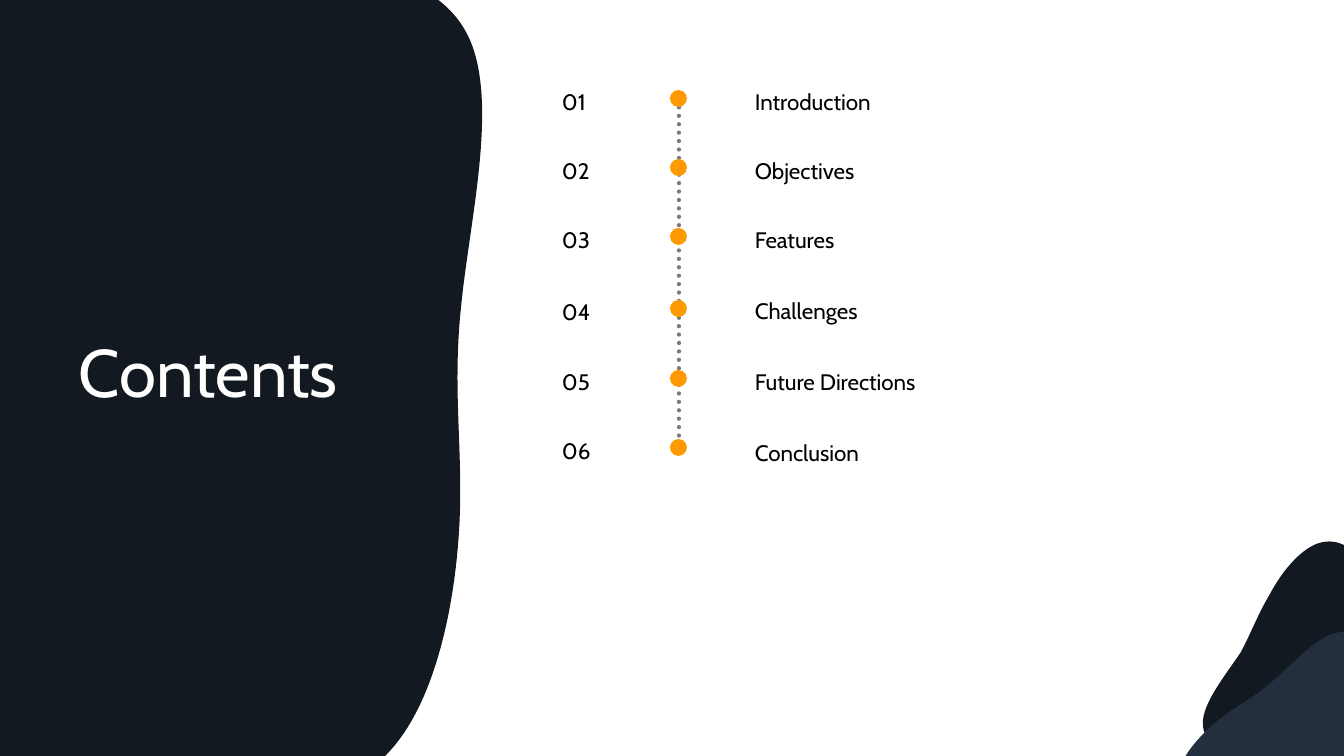
from lxml.etree import SubElement
from pptx import Presentation
from pptx.dml.color import RGBColor
from pptx.enum.dml import MSO_LINE_DASH_STYLE as DASH
from pptx.enum.shapes import MSO_CONNECTOR as CONNECTOR, MSO_SHAPE as SHAPE
from pptx.enum.text import MSO_AUTO_SIZE as AUTO_SIZE
from pptx.oxml.ns import qn
from pptx.util import Pt

PX = 914400 / 100.8
FONT = "Cabin"
NAVY = RGBColor(0x13, 0x19, 0x21)
SLATE = RGBColor(0x23, 0x2F, 0x3E)
ORANGE = RGBColor(0xFF, 0x99, 0x00)
GREY = RGBColor(0x59, 0x59, 0x59)
BLACK = RGBColor(0x00, 0x00, 0x00)
WHITE = RGBColor(0xFF, 0xFF, 0xFF)

PANEL_START = (183, -15)
PANEL_CURVES = [
    (218, -29), (255, -35), (293, -35),
    (370, -37), (448, -19), (472, 45),
    (497, 112), (469, 224), (461, 308),
    (452, 394), (464, 453), (459, 532),
    (454, 612), (433, 711), (383, 758),
    (340, 799), (274, 800), (215, 774),
]
PANEL_EDGES = [(198, 765), (198, 775), (0, 775), (0, -15)]

BACK_HILL_START = (1203, 720)
BACK_HILL_CURVES = [
    (1205, 700), (1227, 673), (1241, 652),
    (1252, 631), (1258, 614), (1270, 594),
    (1281, 573), (1300, 549), (1319, 543),
    (1339, 537), (1354, 549), (1371, 568),
    (1383, 587), (1387, 612), (1384, 638),
    (1381, 663), (1371, 688), (1357, 713),
    (1342, 737), (1324, 759), (1303, 769),
    (1282, 778), (1260, 774), (1240, 765),
    (1219, 755), (1201, 740), (1203, 720),
]

FRONT_HILL_START = (1336, 633)
FRONT_HILL_CURVES = [
    (1315, 638), (1293, 664), (1274, 680),
    (1256, 697), (1239, 704), (1220, 719),
    (1202, 733), (1182, 755), (1178, 774),
    (1175, 794), (1189, 812), (1210, 822),
    (1230, 831), (1256, 832), (1281, 825),
    (1305, 817), (1330, 804), (1351, 786),
    (1373, 768), (1391, 747), (1398, 725),
    (1405, 704), (1397, 681), (1385, 662),
    (1373, 643), (1357, 627), (1336, 633),
]

CHAPTERS = [
    ("Introduction", 90, 75),
    ("Objectives", 159, 144),
    ("Features", 228, 213),
    ("Challenges", 300, 284),
    ("Future Directions", 370, 355),
    ("Conclusion", 439, 426),
]
DOT_LEFT, DOT_SIZE = 670, 17
NUMBER_RISE = 15


def emu(*lengths):
    return [round(length * PX) for length in lengths]


def paint(shape, color):
    shape.shadow.inherit = False
    shape.fill.solid()
    shape.fill.fore_color.rgb = color
    shape.line.fill.background()


def add_blob(page, start, curves, color, edges=()):
    builder = page.shapes.build_freeform(*start, scale=PX)
    builder.add_line_segments([*curves, *edges], close=True)
    blob = builder.convert_to_shape()
    paint(blob, color)
    steps = list(blob.element.iter(qn("a:lnTo")))[:len(curves)]
    for first in range(0, len(steps), 3):
        curve = steps[first]
        points = [step[0] for step in steps[first:first + 3]]
        bezier = SubElement(curve.getparent(), qn("a:cubicBezTo"))
        curve.addprevious(bezier)
        bezier.extend(points)
        for step in steps[first:first + 3]:
            step.getparent().remove(step)


def add_text(page, text, left, top, width, height, *, size=16, color=BLACK,
             spacing=1.3, wrap=True):
    box = page.shapes.add_textbox(*emu(left, top, width, height))
    frame = box.text_frame
    frame.word_wrap = wrap
    frame.auto_size = AUTO_SIZE.SHAPE_TO_FIT_TEXT
    para = frame.paragraphs[0]
    para.line_spacing = spacing
    span = para.add_run()
    span.text = text
    span.font.name = FONT
    span.font.size = Pt(size)
    span.font.color.rgb = color


def add_dotted_line(group, x, top, bottom):
    connector = group.shapes.add_connector(
        CONNECTOR.STRAIGHT, *emu(x, top, x, bottom))
    line = connector.line
    line.width = Pt(3)
    line.color.rgb = GREY
    line.dash_style = DASH.ROUND_DOT
    properties = connector.element.spPr
    outline = properties.find(qn("a:ln"))
    outline.set("cap", "rnd")
    tint = next(outline.iter(qn("a:srgbClr")))
    SubElement(tint, qn("a:alpha")).set("val", "80000")
    SubElement(properties, qn("a:effectLst"))


def add_timeline(page):
    group = page.shapes.add_group_shape()
    add_dotted_line(group, 679, 99, 457)
    for _, dot_top, _ in CHAPTERS:
        dot = group.shapes.add_shape(
            SHAPE.OVAL, *emu(DOT_LEFT, dot_top, DOT_SIZE, DOT_SIZE))
        paint(dot, ORANGE)


def main():
    deck = Presentation()
    deck.slide_width, deck.slide_height = emu(1344, 756)
    page = deck.slides.add_slide(deck.slide_layouts[6])
    add_blob(page, PANEL_START, PANEL_CURVES, NAVY, PANEL_EDGES)
    add_text(page, "Contents", 69, 325, 297, 92, size=48, color=WHITE,
             spacing=1.0, wrap=False)
    add_timeline(page)
    for number, (title, dot_top, title_top) in enumerate(CHAPTERS, 1):
        add_text(page, f"{number:02}", 552, dot_top - NUMBER_RISE, 82, 42)
        add_text(page, title, 745, title_top, 259, 42)
    add_blob(page, BACK_HILL_START, BACK_HILL_CURVES, NAVY)
    add_blob(page, FRONT_HILL_START, FRONT_HILL_CURVES, SLATE)
    deck.save("out.pptx")


if __name__ == "__main__":
    main()
